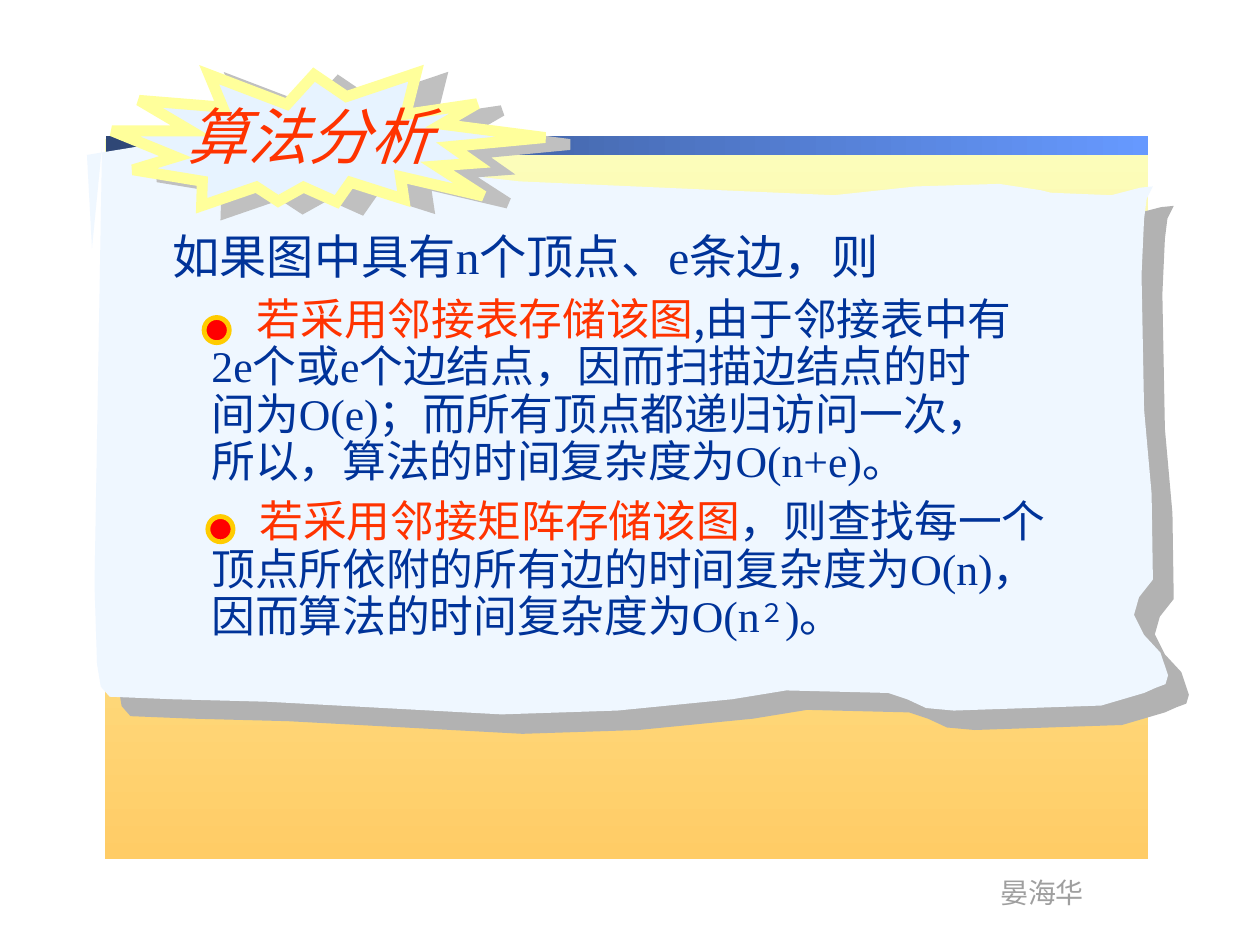
"""Build the slide on the complexity of graph traversal."""
import pptx
import pptx.util
import pptx.dml.color
import pptx.enum.shapes
import pptx.enum.text
import pptx.oxml.ns
import lxml.etree

Inches, Pt = pptx.util.Inches, pptx.util.Pt
RGBColor = pptx.dml.color.RGBColor
SHAPES = pptx.enum.shapes.MSO_SHAPE
qn = pptx.oxml.ns.qn

CREAM, ORANGE = RGBColor(0xFC, 0xFE, 0xBC), RGBColor(0xFF, 0xCC, 0x66)
DEEP_BLUE, SKY = RGBColor(0x2F, 0x47, 0x76), RGBColor(0x66, 0x99, 0xFF)
PAPER, PAPER_SHADE = RGBColor(0xEF, 0xF7, 0xFF), RGBColor(0xB2, 0xB2, 0xB2)
BURST, BURST_EDGE = RGBColor(0xE7, 0xF3, 0xFF), RGBColor(0xFF, 0xFF, 0x9B)
BURST_SHADE, GRAY = RGBColor(0xC0, 0xC0, 0xC0), RGBColor(0x9F, 0x9F, 0x9F)
RED, GOLD = RGBColor(0xFF, 0x00, 0x00), RGBColor(0xFF, 0xCC, 0x00)
NAVY, VERMILION = RGBColor(0x00, 0x33, 0x99), RGBColor(0xFF, 0x33, 0x00)

HAN, ROMAN, NARROW = "Noto Sans CJK SC", "Times New Roman", "Arial Narrow"
HANGING = 0.31

INTRO = [("如果图中具有", HAN), ("n", ROMAN), ("个顶点、", HAN), ("e", ROMAN), ("条边，则", HAN)]
LIST_LINES = [
    [("若采用邻接表存储该图", HAN, VERMILION), (",由于邻接表中有", HAN)],
    [("2e", ROMAN), ("个或", HAN), ("e", ROMAN), ("个边结点，因而扫描边结点的时", HAN)],
    [("间为", HAN), ("O(e)", ROMAN), ("；而所有顶点都递归访问一次，", HAN)],
    [("所以，算法的时间复杂度为", HAN), ("O(n+e)", ROMAN), ("。", HAN)],
]
MATRIX_LINES = [
    [("若采用邻接矩阵存储该图", HAN, VERMILION), ("，则查找每一个", HAN)],
    [("顶点所依附的所有边的时间复杂度为", HAN), ("O(n)", ROMAN), ("，", HAN)],
    [("因而算法的时间复杂度为", HAN), ("O(n", ROMAN), ("２", ROMAN, NAVY, 22), (")。", ROMAN)],
]
PAPER_OUTLINE = [
    (0.81, 1.16), (0.75, 4.64), (0.77, 5.27), (0.8, 5.45), (0.87, 5.53), (1.37, 5.55),
    (2.12, 5.57), (3.98, 5.67), (4.9, 5.64), (5.81, 5.55), (6.24, 5.48), (7.05, 5.5),
    (7.2, 5.55), (7.35, 5.62), (7.57, 5.64), (8.74, 5.6), (9.08, 5.5), (9.17, 5.46),
    (9.25, 5.43), (9.27, 5.36), (9.21, 5.18), (9.08, 5.04), (9, 4.88), (9.04, 4.74),
    (9.15, 4.6), (9.14, 3.92), (9.08, 3.25), (9.06, 2.18), (9.08, 1.74), (9.1, 1.58),
    (9.15, 1.48), (9.05, 1.49), (8.82, 1.55), (8.34, 1.53), (8.26, 1.51), (7.93, 1.46),
    (7.27, 1.48), (6.62, 1.55), (4.12, 1.44), (3.51, 1.37), (3.25, 1.3), (2.93, 1.39),
    (2.75, 1.55), (2.46, 1.46), (2.26, 1.37), (1.9, 1.25), (1.3, 1.13), (0.69, 1.23),
    (0.73, 1.97),
]


def paint(shape, fill, line=None, width=0):
    """Give a shape a solid fill and an optional outline."""
    shape.shadow.inherit = False
    shape.fill.solid()
    shape.fill.fore_color.rgb = fill
    if line is None:
        shape.line.fill.background()
    else:
        shape.line.color.rgb = line
        shape.line.width = Pt(width)
        outline = shape._element.spPr.find(qn("a:ln"))
        lxml.etree.SubElement(outline, qn("a:miter"), lim="800000")


def cast_shadow(shape, color, distance, angle):
    """Add a sharp offset shadow."""
    effects = shape._element.spPr.find(qn("a:effectLst"))
    shadow = lxml.etree.SubElement(effects, qn("a:outerShdw"), blurRad="0", dist=str(Pt(distance)),
                                   dir=str(angle * 60000), algn="ctr", rotWithShape="0")
    lxml.etree.SubElement(shadow, qn("a:srgbClr"), val=str(color))


def add_shape(slide, kind, *place):
    """Add a preset shape at a place in inches."""
    return slide.shapes.add_shape(kind, *map(Inches, place))


def add_gradient(slide, place, colors, angle):
    """Add a rectangle with a two-colour gradient."""
    band = add_shape(slide, SHAPES.RECTANGLE, *place)
    paint(band, colors[0])
    band.fill.gradient()
    band.fill.gradient_angle = angle
    for stop, position, color in zip(band.fill.gradient_stops, (0, 1), colors):
        stop.position = position
        stop.color.rgb = color


def add_text(slide, place, wrap=True):
    """Add an empty text box and return its frame."""
    frame = slide.shapes.add_textbox(*map(Inches, place)).text_frame
    frame.word_wrap = wrap
    frame.auto_size = pptx.enum.text.MSO_AUTO_SIZE.SHAPE_TO_FIT_TEXT
    return frame


def add_span(para, size, text, font, color=NAVY, raised=0, italic=False):
    """Add one run with its font, size and colour."""
    span = para.add_run()
    span.text = text
    span.font.size = Pt(size)
    span.font.italic = italic
    span.font.color.rgb = color
    span.font.name = font
    properties = span._r.get_or_add_rPr()
    lxml.etree.SubElement(properties, qn("a:ea"), typeface=HAN)
    if raised:
        properties.set("baseline", str(raised * 1000))


def add_line(para, spans, size, spacing, margin):
    """Fill a paragraph with runs."""
    para._p.get_or_add_pPr().set("marL", str(Inches(margin)))
    para.line_spacing = spacing
    for span in spans:
        add_span(para, size, *span)


def add_item(frame, lines, first, bulleted):
    """Write the lines of a bulleted item, the first one set in past its dot."""
    for index, spans in enumerate(lines):
        para = first if index == 0 else frame.add_paragraph()
        add_line(para, spans, 25, 0.9, HANGING if index else bulleted)


def main():
    """Build and save the deck."""
    deck = pptx.Presentation()
    deck.slide_width, deck.slide_height = Inches(10), Inches(7.5)
    slide = deck.slides.add_slide(deck.slide_layouts[6])

    add_gradient(slide, (0.83, 1.1, 8.28, 5.72), (CREAM, ORANGE), 270)
    add_gradient(slide, (0.84, 1.08, 8.27, 0.15), (DEEP_BLUE, SKY), 0)
    author = add_text(slide, (7.84, 6.9, 0.87, 0.37), wrap=False)
    add_span(author.paragraphs[0], 16, "晏海华", NARROW, GRAY)

    start, *corners = [tuple(map(Inches, point)) for point in PAPER_OUTLINE]
    builder = slide.shapes.build_freeform(*start)
    builder.add_line_segments(corners, close=True)
    paper = builder.convert_to_shape()
    paint(paper, PAPER)
    cast_shadow(paper, PAPER_SHADE, 16.3, 43)

    body = add_text(slide, (1.27, 1.79, 8.14, 2.14))
    intro = body.paragraphs[0]
    add_line(intro, INTRO, 27, 0.95, 0)
    intro.space_after = Pt(7)
    add_item(body, LIST_LINES, body.add_paragraph(), 0.67)
    paint(add_shape(slide, SHAPES.OVAL, 1.62, 2.52, 0.2, 0.2), RED, GOLD, 2.75)

    burst = add_shape(slide, SHAPES.EXPLOSION2, 0.89, 0.5, 3.42, 1.25)
    burst.rotation = 6.9
    paint(burst, BURST, BURST_EDGE, 6.25)
    cast_shadow(burst, BURST_SHADE, 14.6, 16)
    title = add_text(slide, (1.38, 0.73, 2.49, 0.68))
    add_span(title.paragraphs[0], 35, "算法分析", ROMAN, VERMILION, italic=True)

    matrix = add_text(slide, (1.27, 3.92, 8.33, 1.23))
    add_item(matrix, MATRIX_LINES, matrix.paragraphs[0], 0.69)
    paint(add_shape(slide, SHAPES.OVAL, 1.65, 4.1, 0.2, 0.2), RED, GOLD, 2.75)

    deck.save("out.pptx")


if __name__ == "__main__":
    main()
